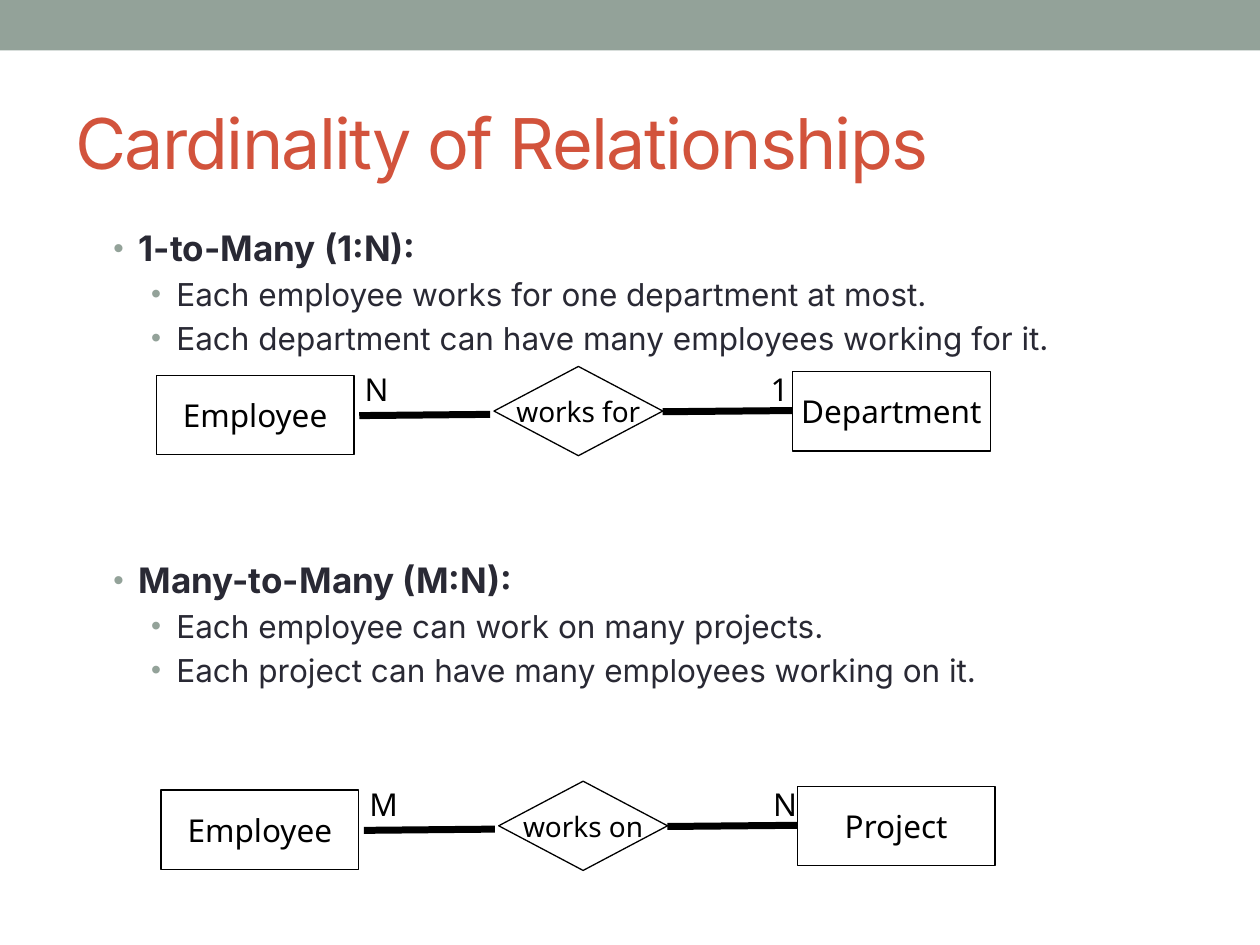
from lxml import etree
from pptx import Presentation
from pptx.dml.color import RGBColor
from pptx.enum.shapes import MSO_CONNECTOR, MSO_SHAPE
from pptx.enum.text import MSO_ANCHOR, MSO_AUTO_SIZE, PP_ALIGN
from pptx.oxml.ns import qn
from pptx.util import Pt

LINE = MSO_CONNECTOR.STRAIGHT
RECT, DIAMOND = MSO_SHAPE.RECTANGLE, MSO_SHAPE.DIAMOND
MIDDLE, TOP = MSO_ANCHOR.MIDDLE, MSO_ANCHOR.TOP
LEFT, CENTER = PP_ALIGN.LEFT, PP_ALIGN.CENTER
NO_FIT = MSO_AUTO_SIZE.NONE

SAGE, RUST, INK, BLACK = "93A299", "D2533C", "292934", "000000"
TEXT_FONT, DIAGRAM_FONT = "Inter", "Noto Sans"

# level: (font size, left indent, bullet size in percent, space before)
LEVELS = {1: (20, 36, 85, 0), 2: (18, 57.6, 90, 3.5)}
BULLET_HANG = 14.4
DIAGRAM_GAP = 115.5


def rgb(value):
    """Turn a hex string into a colour."""
    return RGBColor.from_string(value)


def place(shape, box):
    """Move a shape to box (left, top, width, height)."""
    shape.left, shape.top, shape.width, shape.height = map(Pt, box)


def add_run(paragraph, text, size, font, color, bold=False):
    """Append one formatted run and return it."""
    run = paragraph.add_run()
    run.text = text
    run.font.size = Pt(size)
    run.font.name = font
    run.font.bold = bold
    run.font.color.rgb = rgb(color)
    return run


def add_bullet(paragraph, indent, percent):
    """Give a paragraph a hanging sage bullet."""
    properties = paragraph._p.get_or_add_pPr()
    properties.set("marL", str(Pt(indent)))
    properties.set("indent", str(-Pt(BULLET_HANG)))
    color = etree.SubElement(properties, qn("a:buClr"))
    etree.SubElement(color, qn("a:srgbClr"), val=SAGE)
    etree.SubElement(properties, qn("a:buSzPct"), val=str(percent * 1000))
    etree.SubElement(properties, qn("a:buFont"), typeface="Arial")
    etree.SubElement(properties, qn("a:buChar"), char="•")


def add_band(slide, box):
    """Draw the coloured band along the top edge."""
    band = slide.shapes.add_shape(RECT, *map(Pt, box))
    band.shadow.inherit = False
    band.fill.solid()
    band.fill.fore_color.rgb = rgb(SAGE)
    band.line.fill.background()


def fill_title(slide, box, text):
    """Fill the title placeholder."""
    title = slide.shapes.title
    place(title, box)
    frame = title.text_frame
    frame.auto_size = NO_FIT
    frame.vertical_anchor = MIDDLE
    heading = frame.paragraphs[0]
    heading.alignment = LEFT
    run = add_run(heading, text, 40, TEXT_FONT, RUST)
    run.font._element.set("spc", "-100")


def fill_body(slide, box, sections):
    """Fill the body with headed lists, leaving a diagram gap between them."""
    body = slide.placeholders[1]
    place(body, box)
    frame = body.text_frame
    frame.auto_size = NO_FIT
    frame.vertical_anchor = TOP
    for section_index, (heading, points) in enumerate(sections):
        lines = [(1, heading)] + [(2, point) for point in points]
        for level, text in lines:
            first = section_index == 0 and level == 1
            item = frame.paragraphs[0] if first else frame.add_paragraph()
            size, indent, percent, space = LEVELS[level]
            item.level = level
            if level == 1 and not first:
                space = DIAGRAM_GAP
            item.space_before = Pt(space)
            add_bullet(item, indent, percent)
            add_run(item, text, size, TEXT_FONT, INK, bold=level == 1)


def label(shape, text, size, anchor):
    """Write centred, unwrapped diagram text into a shape."""
    frame = shape.text_frame
    frame.word_wrap = False
    frame.vertical_anchor = anchor
    frame.paragraphs[0].alignment = CENTER
    add_run(frame.paragraphs[0], text, size, DIAGRAM_FONT, BLACK)


def add_node(slide, kind, box, text, size):
    """Draw an outlined entity or relationship."""
    node = slide.shapes.add_shape(kind, *map(Pt, box))
    node.shadow.inherit = False
    node.fill.background()
    node.line.color.rgb = rgb(BLACK)
    node.line.width = Pt(0.74)
    label(node, text, size, MIDDLE)


def add_link(slide, start, end):
    """Draw a thick line between two points."""
    link = slide.shapes.add_connector(LINE, *map(Pt, start + end))
    link.line.color.rgb = rgb(BLACK)
    link.line.width = Pt(4)
    etree.SubElement(link._element.spPr, qn("a:effectLst"))


def add_relationship(slide, left, top, entities, verb, cardinalities):
    """Draw entity, relationship and entity from the given corner."""
    add_node(slide, DIAMOND, (left + 193, top + 1.4, 96.5, 51), verb, 16)
    for entity, (x, y) in zip(entities, ((0, 6.5), (363.6, 4.3))):
        add_node(slide, RECT, (left + x, top + y, 113, 45.4), entity, 18)
    for start_x, end_x, y in ((116, 190.8, 29.5), (289.4, 363.6, 27.3)):
        add_link(slide, (left + start_x, top + y), (left + end_x, top + y - 0.7))
    for cardinality, center in zip(cardinalities, (125.5, 356.2)):
        box = (left + center - 13.5, top, 27, 29.5)
        label(slide.shapes.add_textbox(*map(Pt, box)), cardinality, 18, TOP)


def build():
    """Build and save the slide."""
    deck = Presentation()
    deck.slide_width, deck.slide_height = Pt(720), Pt(540)
    slide = deck.slides.add_slide(deck.slide_layouts[1])
    add_band(slide, (0, 0, 720, 28.8))
    fill_title(slide, (36, 42, 648, 78), "Cardinality of Relationships")
    fill_body(slide, (36, 126, 648, 384), [
        ("1-to-Many (1:N):", [
            "Each employee works for one department at most.",
            "Each department can have many employees working for it."]),
        ("Many-to-Many (M:N):", [
            "Each employee can work on many projects.",
            "Each project can have many employees working on it."]),
    ])
    add_relationship(slide, 89.3, 208, ("Employee", "Department"), "works for", "N1")
    add_relationship(slide, 92, 445, ("Employee", "Project"), "works on", "MN")
    deck.save("out.pptx")


build()
